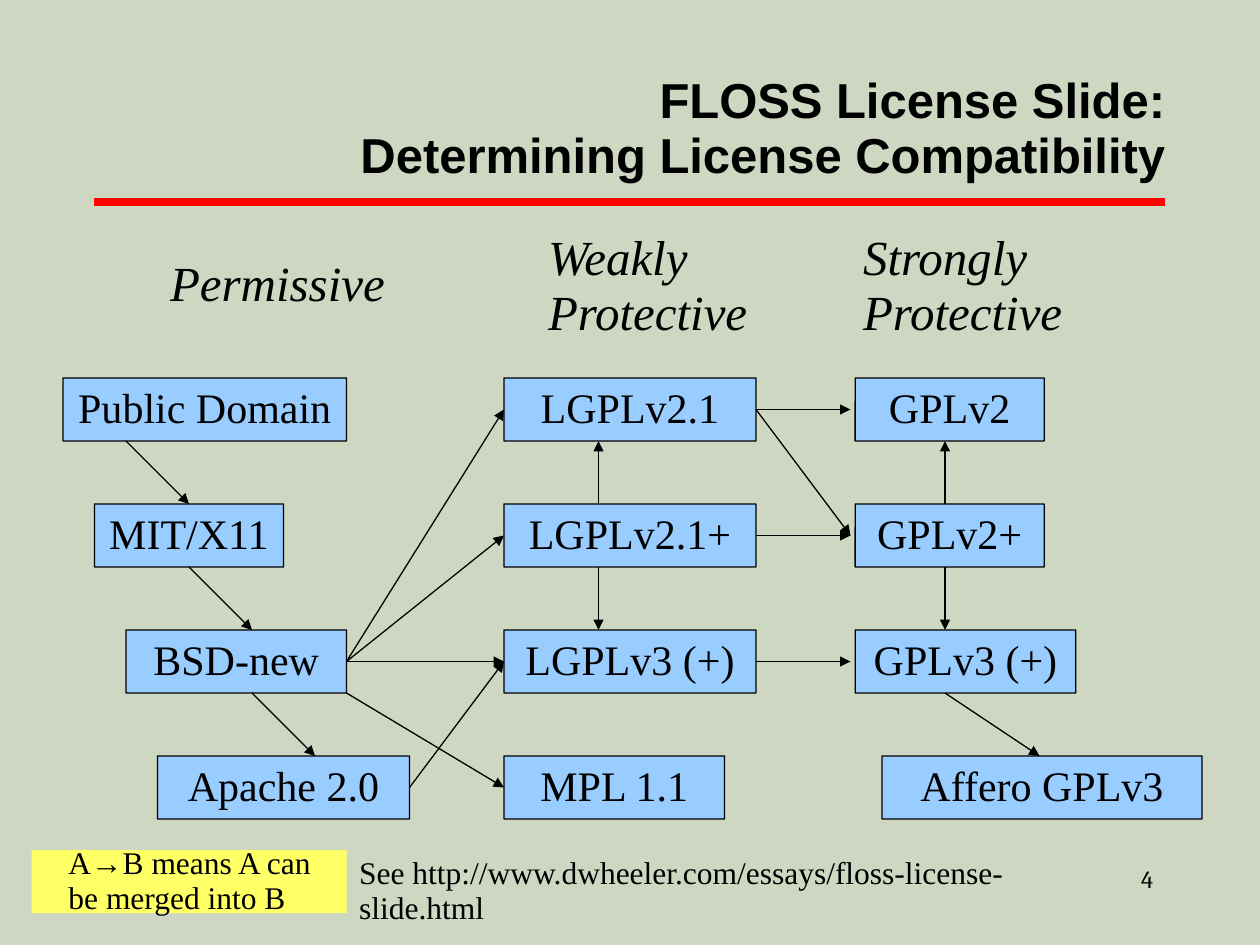
from lxml.etree import SubElement
from pptx import Presentation
from pptx.dml.color import RGBColor
from pptx.enum.shapes import MSO_CONNECTOR, MSO_SHAPE
from pptx.enum.text import MSO_ANCHOR, PP_ALIGN
from pptx.oxml.ns import qn
from pptx.util import Cm, Pt

SAGE = RGBColor(0xCD, 0xD7, 0xC1)
SKY = RGBColor(0x99, 0xCC, 0xFF)
YELLOW = RGBColor(0xFF, 0xFF, 0x66)
RED = RGBColor(0xFF, 0, 0)
BLACK = RGBColor(0, 0, 0)
SERIF = "Times New Roman"

GRID = Cm(2.54) // 4  # step of the diagram grid
TOP, LEFT, BOTTOM, RIGHT = range(4)  # connection sites of a box

# Name: x, y, width in grid steps from the diagram corner
LICENSES = {
    "Public Domain": (0, 0, 9),
    "MIT/X11": (1, 4, 6),
    "BSD-new": (2, 8, 7),
    "Apache 2.0": (3, 12, 8),
    "LGPLv2.1": (14, 0, 8),
    "LGPLv2.1+": (14, 4, 8),
    "LGPLv3 (+)": (14, 8, 8),
    "MPL 1.1": (14, 12, 7),
    "GPLv2": (25.15, 0, 6),
    "GPLv2+": (25.15, 4, 6),
    "GPLv3 (+)": (25.15, 8, 7),
    "Affero GPLv3": (26, 12, 10.16),
}

# Each end is a (license, side) pair or a grid point
MERGES = [
    ((2, 2), ("MIT/X11", TOP)),
    (("MIT/X11", BOTTOM), (6, 8)),
    ((6, 10), (8, 12)),
    (("BSD-new", RIGHT), ("LGPLv2.1", LEFT)),
    (("BSD-new", RIGHT), ("LGPLv2.1+", LEFT)),
    (("BSD-new", RIGHT), ("LGPLv3 (+)", LEFT)),
    ((17, 4), (17, 2)),
    ((17, 6), (17, 8)),
    (("LGPLv2.1", RIGHT), (25, 1)),
    (("LGPLv2.1+", RIGHT), (25, 5)),
    (("LGPLv3 (+)", RIGHT), (25, 9)),
    (("LGPLv2.1", RIGHT), (25, 5)),
    (("Apache 2.0", RIGHT), ("LGPLv3 (+)", LEFT)),
    ((9, 10), ("MPL 1.1", LEFT)),
    ((28, 4), (28, 2)),
    ((28, 6), (28, 8)),
    ((28, 10), (31, 12)),
]


def write(sp, lines, size, font=SERIF, align=PP_ALIGN.LEFT, bold=False, italic=False):
    """Write the lines as one paragraph with line breaks."""
    p = sp.text_frame.paragraphs[0]
    p.alignment = align
    p.line_spacing = 0.93
    for i, line in enumerate(lines):
        if i:
            p.add_line_break()
        r = p.add_run()
        r.text = line
        r.font.name, r.font.size = font, Pt(size)
        r.font.bold, r.font.italic = bold, italic
        r.font.color.rgb = BLACK


def add_text(s, box, lines, size, wrap=False, **style):
    sp = s.shapes.add_textbox(*box)
    sp.text_frame.word_wrap = wrap
    write(sp, lines, size, **style)
    return sp


def add_box(s, box, fill):
    sp = s.shapes.add_shape(MSO_SHAPE.ROUNDED_RECTANGLE, *box)
    sp.adjustments[0] = 0.003
    sp.shadow.inherit = False
    sp.fill.solid()
    sp.fill.fore_color.rgb = fill
    sp.line.fill.background()
    sp.text_frame.vertical_anchor = MSO_ANCHOR.MIDDLE
    return sp


def add_line(s, begin, end, color, width):
    cx = s.shapes.add_connector(MSO_CONNECTOR.STRAIGHT, *begin, *end)
    cx.line.color.rgb = color
    cx.line.width = Pt(width)
    SubElement(cx._element.spPr, qn("a:effectLst"))
    return cx


def add_header(s, left, top, width, height):
    # Right-aligned title over a red rule
    indent = Cm(3.81)
    sp = add_text(s, (left + indent, top, width - indent, height),
                  ["FLOSS License Slide:", "Determining License Compatibility"], 28,
                  wrap=True, font="Arial", align=PP_ALIGN.RIGHT, bold=True)
    tf = sp.text_frame
    tf.vertical_anchor = MSO_ANCHOR.MIDDLE
    tf.margin_left = tf.margin_right = tf.margin_top = tf.margin_bottom = 0
    rule = top + height + Cm(0.28)
    add_line(s, (left, rule), (left + width, rule), RED, 5)


def add_headings(s, left, top):
    # Column headings
    headings = [
        (0, 0.53, 4.83, 1.35, ["Permissive"]),
        (7.62, 0, 4.55, 2.44, ["Weakly", "Protective"]),
        (13.97, 0, 4.55, 2.44, ["Strongly", "Protective"]),
    ]
    for x, y, w, h, lines in headings:
        add_text(s, (left + Cm(x), top + Cm(y), Cm(w), Cm(h)), lines, 28, italic=True)


def add_diagram(s, left, top):
    def place(x, y):
        return left + round(x * GRID), top + round(y * GRID)

    # License boxes
    boxes = {}
    for name, (x, y, w) in LICENSES.items():
        sp = add_box(s, (*place(x, y), round(w * GRID), 2 * GRID), SKY)
        sp.line.color.rgb = BLACK
        sp.line.width = Pt(0.75)
        write(sp, [name], 24, align=PP_ALIGN.CENTER)
        boxes[name] = sp

    # Merge arrows
    for begin, end in MERGES:
        points = [place(0, 0) if e[0] in boxes else place(*e) for e in (begin, end)]
        cx = add_line(s, *points, BLACK, 0.75)
        if begin[0] in boxes:
            cx.begin_connect(boxes[begin[0]], begin[1])
        if end[0] in boxes:
            cx.end_connect(boxes[end[0]], end[1])
        SubElement(cx.line._get_or_add_ln(), qn("a:tailEnd"), type="triangle")


def add_footer(s, left, top):
    # Legend, source and page number
    sp = add_box(s, (left, top, Cm(6.35), Cm(1.27)), YELLOW)
    sp.text_frame.margin_left = Cm(0.74)
    write(sp, ["A→B means A can", "be merged into B"], 18)
    add_text(s, (left + Cm(6.35), top, Cm(15.77), Cm(0.97)),
             ["See http://www.dwheeler.com/essays/floss-license-slide.html"], 18)
    add_text(s, (left + Cm(18.62), top + Cm(0.2), Cm(4.24), Cm(0.84)), ["4"], 14,
             wrap=True, font="Cambria", align=PP_ALIGN.RIGHT)


def main():
    prs = Presentation()
    prs.slide_width, prs.slide_height = Cm(25.4), Cm(19.05)
    s = prs.slides.add_slide(prs.slide_layouts[6])
    s.background.fill.solid()
    s.background.fill.fore_color.rgb = SAGE
    add_header(s, Cm(1.9), Cm(1.45), Cm(21.59), Cm(2.34))
    add_headings(s, Cm(3.18), Cm(4.55))
    add_diagram(s, Cm(1.27), Cm(7.62))
    add_footer(s, Cm(0.64), Cm(17.14))
    prs.save("out.pptx")


if __name__ == "__main__":
    main()
